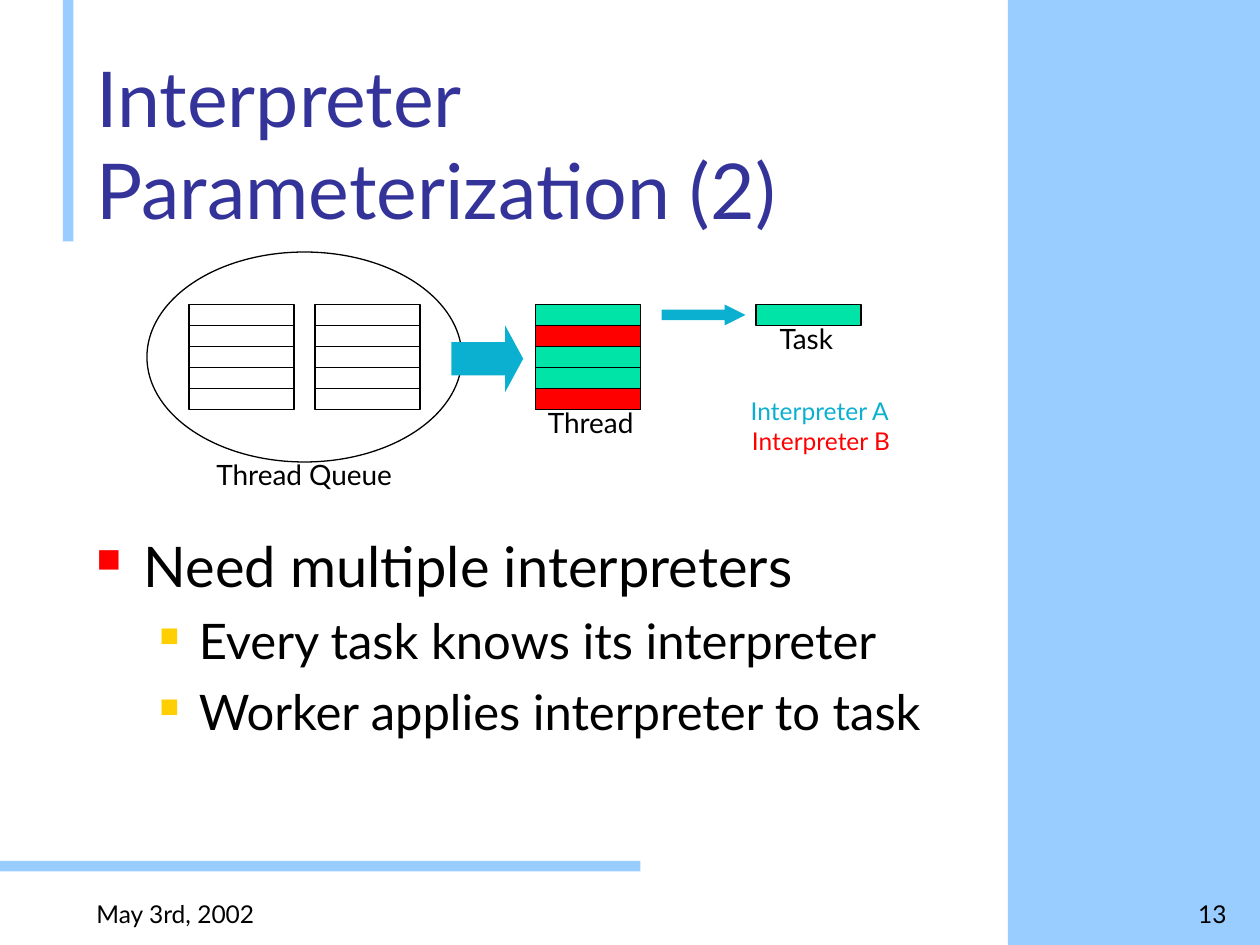
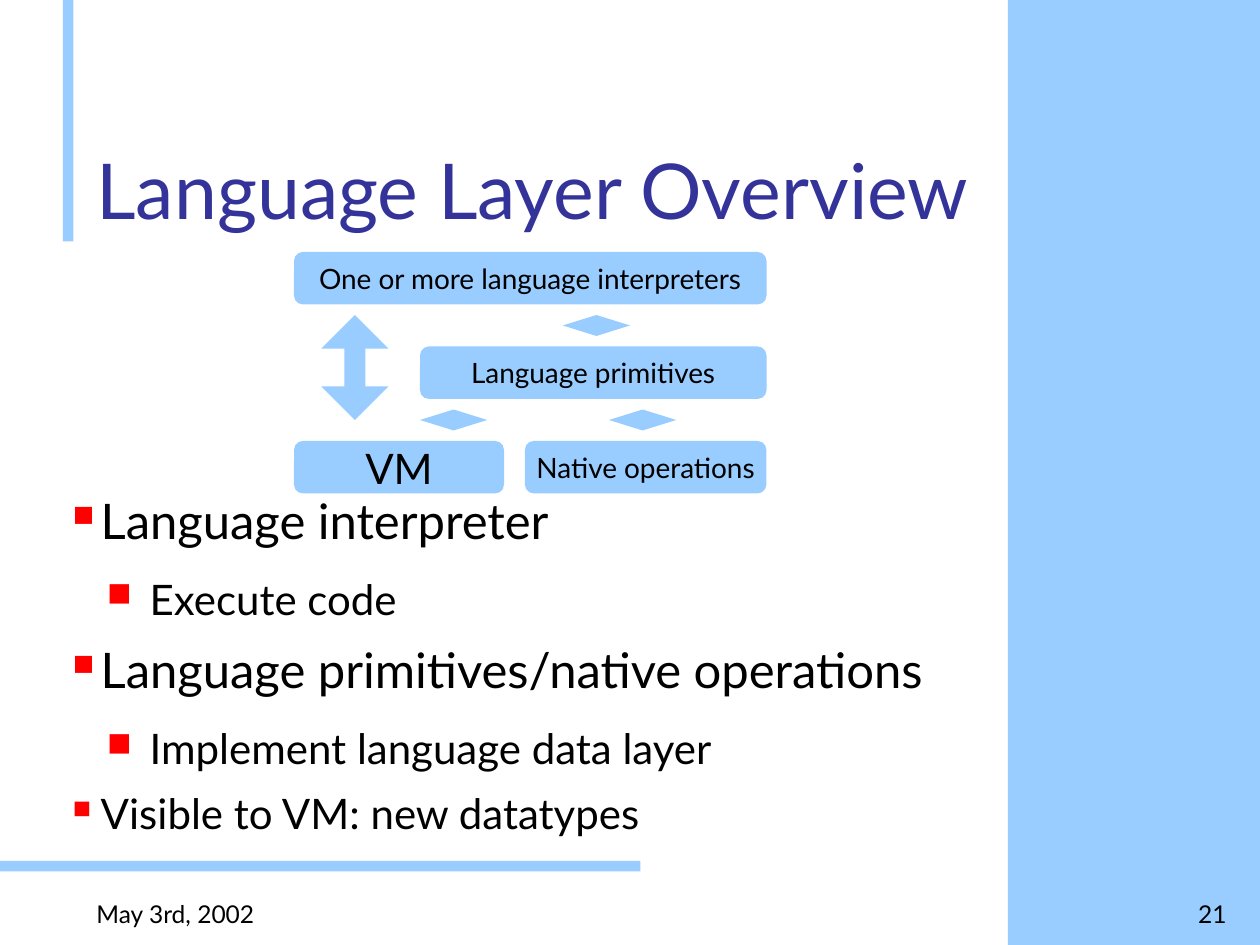
from lxml import etree
from pptx import Presentation
from pptx.dml.color import RGBColor
from pptx.enum import shapes, text
from pptx.oxml.ns import qn
from pptx.util import Pt

SKY = RGBColor(0x99, 0xCC, 0xFF)
NAVY = RGBColor(0x33, 0x33, 0x99)
BLACK = RGBColor(0, 0, 0)
RED = RGBColor(0xFF, 0, 0)
GOLD = RGBColor(0xFF, 0xCF, 0x01)
GREEN = RGBColor(0, 0xE4, 0xA8)
TEAL = RGBColor(0x0B, 0xB0, 0xD1)
FONT = "Lato"
KIND = shapes.MSO_SHAPE
ALIGN = text.PP_ALIGN
ANCHOR = text.MSO_ANCHOR


def draw(slide, kind, box, fill=None, line=None, adjust=()):
    """Add a preset shape; without a fill or line colour that part is clear."""
    shape = slide.shapes.add_shape(kind, *map(Pt, box))
    shape.shadow.inherit = False
    if fill is None:
        shape.fill.background()
    else:
        shape.fill.solid()
        shape.fill.fore_color.rgb = fill
    if line is None:
        shape.line.fill.background()
    else:
        shape.line.color.rgb = line
        shape.line.width = Pt(0.75)
    for i, value in enumerate(adjust):
        shape.adjustments[i] = value
    return shape


def write(para, words, size, color=BLACK, align=ALIGN.LEFT, before=0, after=0,
          bullet=None):
    """Fill a paragraph; bullet is (colour, percent, left margin, hang)."""
    para.text = words
    para.alignment = align
    para.space_before, para.space_after = Pt(before), Pt(after)
    if bullet:
        tint, percent, margin, hang = bullet
        props = para._p.get_or_add_pPr()
        props.set("marL", str(Pt(margin)))
        props.set("indent", str(-Pt(hang)))
        ink = etree.SubElement(props, qn("a:buClr"))
        etree.SubElement(ink, qn("a:srgbClr"), val=str(tint))
        etree.SubElement(props, qn("a:buSzPct"), val=str(percent * 1000))
        etree.SubElement(props, qn("a:buChar"), char="■")
    para.font.name, para.font.size = FONT, Pt(size)
    para.font.color.rgb = color


deck = Presentation()
deck.slide_width, deck.slide_height = Pt(720), Pt(540)

# Shared frame: bands, title, date and slide number
pages = []
for title, number in (("Interpreter Parameterization (2)", "13"),
                      ("Language Layer Overview", "21")):
    page = deck.slides.add_slide(deck.slide_layouts[6])
    pages.append(page)
    for band in ((576, 0, 144, 540), (36, 0, 6, 138), (0, 492, 366, 6)):
        draw(page, KIND.RECTANGLE, band, SKY)
    for box, words, size, color, align in (
            ((48, 48, 528, 90), title, 44, NAVY, ALIGN.LEFT),
            ((582, 498, 126, 36), number, 14, BLACK, ALIGN.RIGHT),
            ((48, 498, 522, 36), "May 3rd, 2002", 14, BLACK, ALIGN.LEFT)):
        frame = page.shapes.add_textbox(*map(Pt, box)).text_frame
        frame.word_wrap = True
        frame.vertical_anchor = ANCHOR.BOTTOM
        write(frame.paragraphs[0], words, size, color, align)
queue, layers = pages

# Thread queue: stacks of tasks
ROW, WIDE, TOP = 12, 60, 174
for left, fills in ((108, [None] * 5), (180, [None] * 5),
                    (306, [GREEN, RED, GREEN, GREEN, RED]), (432, [GREEN])):
    for i, fill in enumerate(fills):
        draw(queue, KIND.RECTANGLE, (left, TOP + i * ROW, WIDE, ROW), fill, BLACK)
draw(queue, KIND.OVAL, (84, 144, 180, 120), line=BLACK)
draw(queue, KIND.RIGHT_ARROW, (258, 186, 41, 38), TEAL, adjust=(0.5, 0.27))
draw(queue, KIND.RIGHT_ARROW, (378, TOP, 48, ROW), TEAL, adjust=(0.5, 1))

for box, words, size, color in (
        ((438.4, 180, 48.3, 26.6), "Task", 16, BLACK),
        ((306, 228, 67.7, 26.6), "Thread", 16, BLACK),
        ((116.6, 258, 121.7, 26.6), "Thread Queue", 16, BLACK),
        ((421.9, 222.5, 100, 24.5), "Interpreter A", 14, TEAL),
        ((422.6, 239.8, 100, 24.5), "Interpreter B", 14, RED)):
    frame = queue.shapes.add_textbox(*map(Pt, box)).text_frame
    frame.word_wrap = False
    frame.auto_size = text.MSO_AUTO_SIZE.SHAPE_TO_FIT_TEXT
    write(frame.paragraphs[0], words, size, color, before=size / 4)

# Language layers: boxes and the arrows between them
for box, words, size in (
        ((168, 144, 270, 30), "One or more language interpreters", 16),
        ((240, 198, 198, 30), "Language primitives", 16),
        ((300, 252, 138, 30), "Native operations", 16),
        ((168, 252, 120, 30), "VM", 24)):
    layer = draw(layers, KIND.ROUNDED_RECTANGLE, box, SKY, adjust=(0.17,))
    frame = layer.text_frame
    frame.word_wrap = False
    frame.vertical_anchor = ANCHOR.MIDDLE
    write(frame.paragraphs[0], words, size, align=ALIGN.CENTER, before=size / 4)
for left, top, high, head in ((183.6, 180, 60, 0.31), (321.6, 180, 12, 0.2),
                              (348, 234, 12, 0.2), (240, 234, 12, 0.2)):
    draw(layers, KIND.UP_DOWN_ARROW, (left, top, 38.4, high), SKY,
         adjust=(0.5, head))

# Bullet lists: words, size, space before, space after, bullet
MAIN, SUB = (RED, 60, 27, 27), (GOLD, 55, 58.5, 22.5)
HEAD, ITEM = (RED, 60, 16, 16), (RED, 80, 44, 24.5)
for page, box, lines in (
        (queue, (48, 300, 660, 183), (
            ("Need multiple interpreters", 32, 8, 0, MAIN),
            ("Every task knows its interpreter", 28, 7, 0, SUB),
            ("Worker applies interpreter to task", 28, 7, 0, SUB))),
        (layers, (34.5, 276.5, 667, 205), (
            ("Language interpreter", 28, 7, 0, HEAD),
            ("Execute code", 24, 14, 2, ITEM),
            ("Language primitives/native operations", 28, 7, 0, HEAD),
            ("Implement language data layer", 24, 14, 2, ITEM),
            ("Visible to VM: new datatypes", 24, 6, 0, HEAD)))):
    frame = page.shapes.add_textbox(*map(Pt, box)).text_frame
    frame.word_wrap = True
    for i, (words, size, before, after, bullet) in enumerate(lines):
        para = frame.add_paragraph() if i else frame.paragraphs[0]
        write(para, words, size, before=before, after=after, bullet=bullet)

deck.save("out.pptx")
